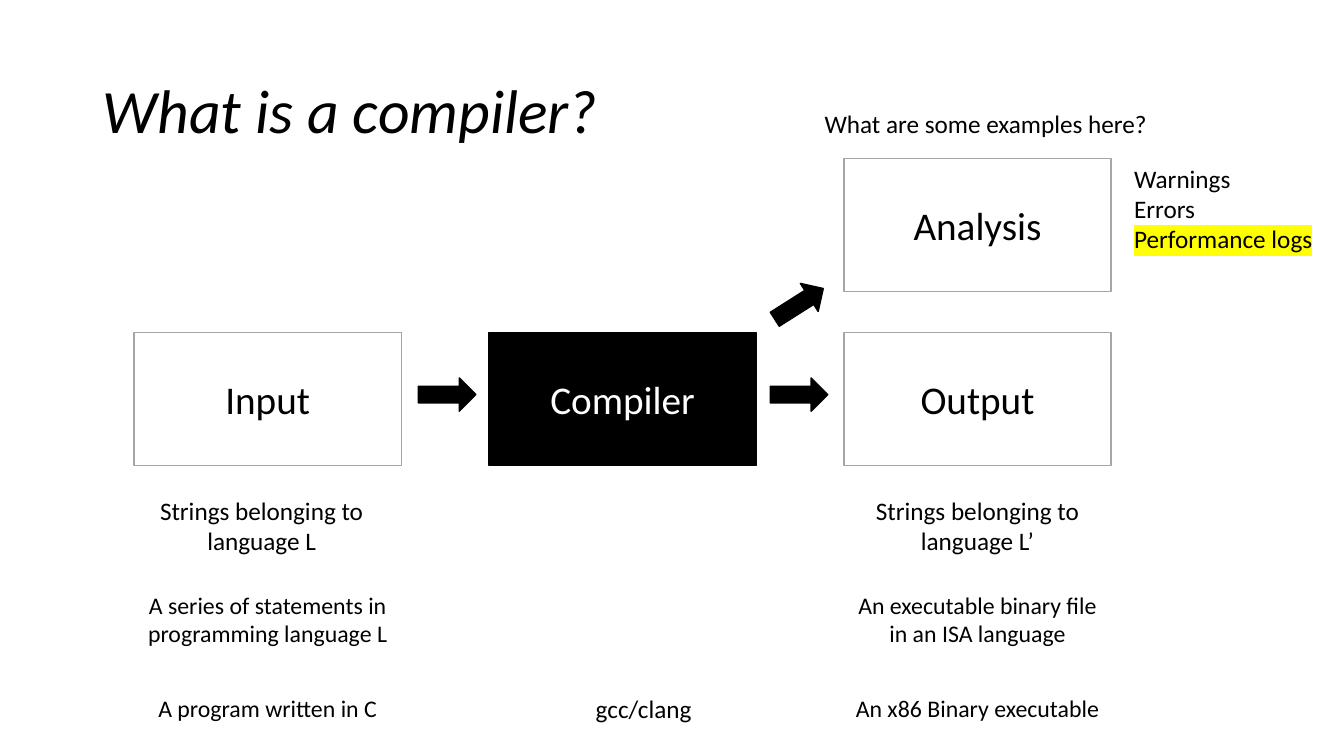
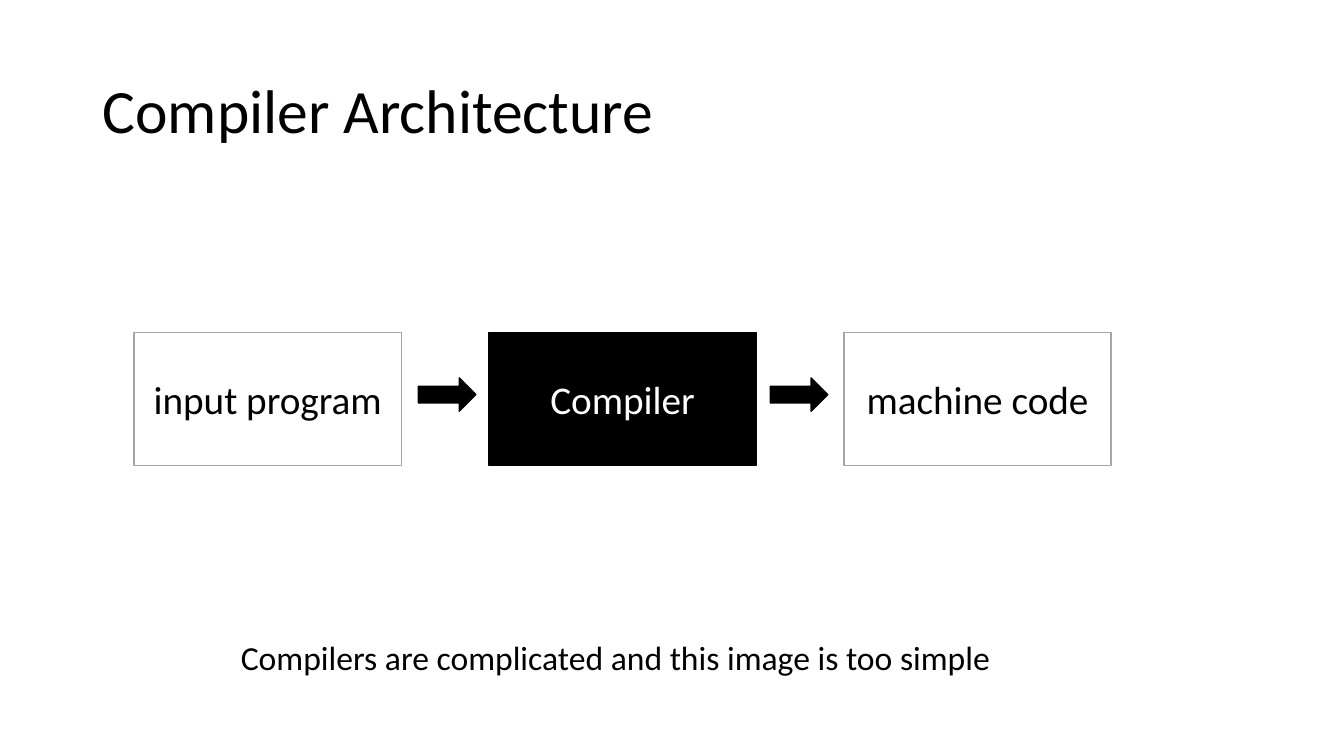
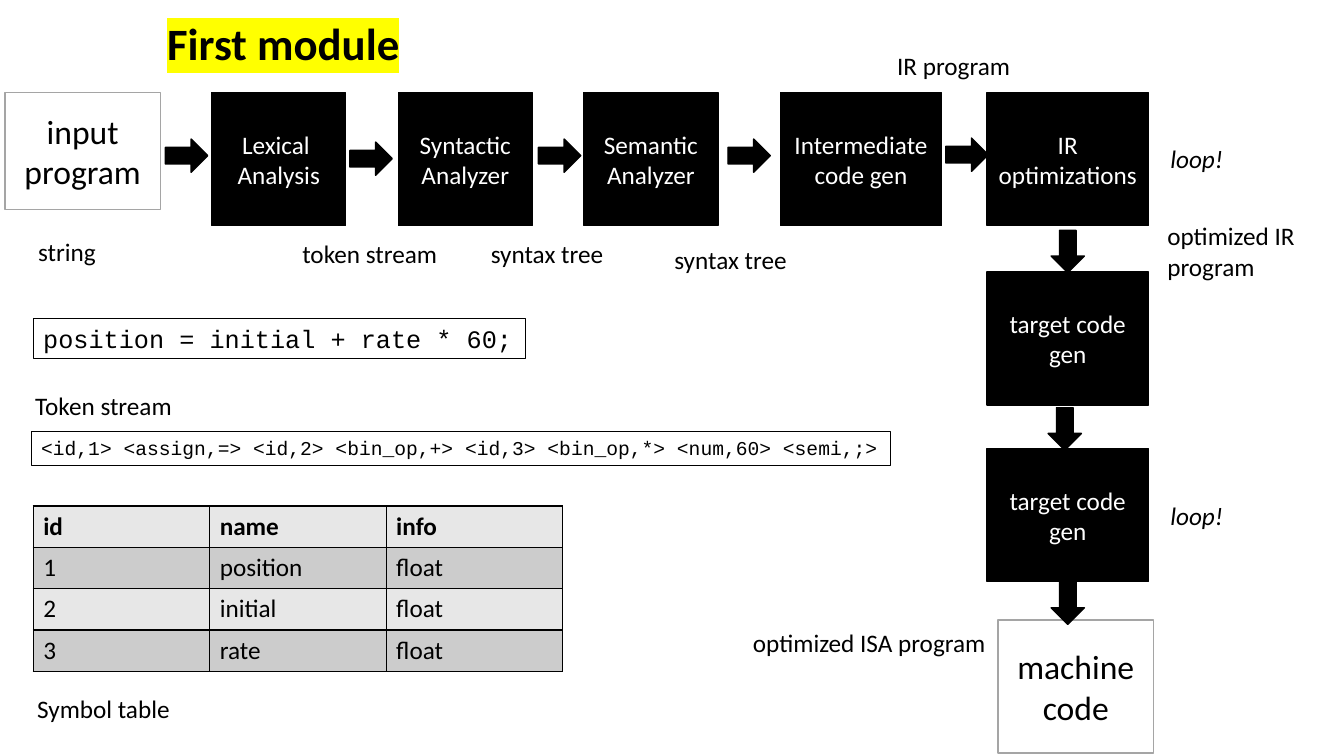
import dataclasses

import lxml.etree
import pptx
import pptx.dml.color
import pptx.enum.shapes
import pptx.enum.text
import pptx.oxml.ns
import pptx.util

RECTANGLE = pptx.enum.shapes.MSO_SHAPE.RECTANGLE
ARROW = pptx.enum.shapes.MSO_SHAPE.RIGHT_ARROW
MIDDLE = pptx.enum.text.MSO_ANCHOR.MIDDLE
LEFT = pptx.enum.text.PP_ALIGN.LEFT
CENTER = pptx.enum.text.PP_ALIGN.CENTER
GROW = pptx.enum.text.MSO_AUTO_SIZE.SHAPE_TO_FIT_TEXT
qn = pptx.oxml.ns.qn


@dataclasses.dataclass(frozen=True)
class Theme:
    """Colours, fonts and type sizes of the deck."""

    ink: str = "000000"
    paper: str = "FFFFFF"
    frame: str = "A5A5A5"
    marker: str = "FFFF00"
    light_row: str = "E7E7E7"
    dark_row: str = "CCCCCC"
    font: str = "Calibri"
    code_font: str = "Courier New"
    title: int = 44
    heading: int = 32
    box: int = 28
    large: int = 24
    body: int = 18
    detail: int = 17
    small_code: int = 14


@dataclasses.dataclass(frozen=True)
class Box:
    """A rectangle in inches."""

    left: float
    top: float
    width: float
    height: float

    def inset(self, right, down, width, height):
        """Return a box offset from this one's corner."""
        return Box(self.left + right, self.top + down, width, height)

    def lengths(self):
        """Return left, top, width and height as lengths."""
        return [pptx.util.Inches(side) for side in dataclasses.astuple(self)]


THEME = Theme()


def rgb(colour):
    """Turn a hex string into a colour."""
    return pptx.dml.color.RGBColor.from_string(colour)


def style(frame, size, colour=THEME.ink, font=THEME.font, bold=False, italic=False, align=LEFT):
    """Format every run of a text frame."""
    for paragraph in frame.paragraphs:
        paragraph.alignment = align
        for run in paragraph.runs:
            run.font.size = pptx.util.Pt(size)
            run.font.name = font
            run.font.bold = bold
            run.font.italic = italic
            run.font.color.rgb = rgb(colour)


def highlight(run):
    """Mark a run with the highlighter colour."""
    ink = run._r.get_or_add_rPr().find(qn("a:solidFill"))
    mark = lxml.etree.Element(qn("a:highlight"))
    lxml.etree.SubElement(mark, qn("a:srgbClr"), val=THEME.marker)
    ink.addnext(mark)


def outline(shape, colour, width):
    """Give a shape a solid outline."""
    shape.line.color.rgb = rgb(colour)
    shape.line.width = pptx.util.Pt(width)


def solid(slide, kind, box, fill, edge):
    """Draw a filled preset shape without shadow."""
    shape = slide.shapes.add_shape(kind, *box.lengths())
    shape.shadow.inherit = False
    shape.fill.solid()
    shape.fill.fore_color.rgb = rgb(fill)
    outline(shape, edge, 1)
    return shape


def stage(slide, box, label, size, dark=False):
    """Draw a labelled stage, black for compiler steps and white for data."""
    fill, edge, ink = (
        (THEME.ink, THEME.ink, THEME.paper) if dark else (THEME.paper, THEME.frame, THEME.ink)
    )
    frame = solid(slide, RECTANGLE, box, fill, edge).text_frame
    frame.word_wrap = True
    frame.vertical_anchor = MIDDLE
    frame.text = label
    style(frame, size, ink, align=CENTER)


def arrow(slide, box, rotation=0):
    """Draw a black block arrow."""
    solid(slide, ARROW, box, THEME.ink, THEME.ink).rotation = rotation


def note(slide, box, text, size=THEME.body, wrap=False, **look):
    """Write a text box that grows with its text."""
    caption = slide.shapes.add_textbox(*box.lengths())
    frame = caption.text_frame
    frame.text = text
    frame.word_wrap = wrap
    frame.auto_size = GROW
    style(frame, size, **look)
    return caption


def title(slide, box, text, italic=False):
    """Write the slide title."""
    frame = slide.shapes.add_textbox(*box.lengths()).text_frame
    frame.word_wrap = True
    frame.vertical_anchor = MIDDLE
    frame.text = text
    frame.paragraphs[0].line_spacing = 0.9
    style(frame, THEME.title, italic=italic)


def flow(slide, box, source, target):
    """Draw source, compiler and target in a row joined by arrows."""
    for column, label in enumerate((source, "Compiler", target)):
        place = box.inset(column * 3.52, 0, 2.65, box.height)
        stage(slide, place, label, THEME.box, dark=column == 1)
    for right in (2.82, 6.31):
        arrow(slide, box.inset(right, 0.45, 0.57, 0.33))


def analysis(slide, box):
    """Draw the analysis branch with its question and examples."""
    stage(slide, box, "Analysis", THEME.box)
    arrow(slide, box.inset(-0.73, 1.28, 0.57, 0.33), 327.6)
    note(slide, box.inset(-0.29, -0.54, 3.44, 0.4), "What are some examples here?")
    examples = note(
        slide, box.inset(2.78, 0, 1.99, 1.01), "Warnings\nErrors\vPerformance logs"
    )
    highlight(examples.text_frame.paragraphs[1].runs[1])


def explanations(slide, box, strings, statement, example, shift=0):
    """Stack three readings of one end of the flow, from abstract to concrete."""
    readings = (
        (shift, 0, 0.71, strings, THEME.body),
        (0, 0.95, 0.67, statement, THEME.detail),
        (0, 1.97, 0.39, example, THEME.detail),
    )
    for right, down, height, text, size in readings:
        place = box.inset(right, down, box.width, height)
        note(slide, place, text, size, wrap=True, align=CENTER)


def pipeline(slide, box):
    """Draw the compiler phases across the top and down the right side."""
    stage(slide, box.inset(0, 0, 1.54, 1.16), "input program", THEME.large)
    stage(slide, box.inset(9.85, 5.23, 1.54, 1.32), "machine code", THEME.large)
    phases = (
        (2.05, 0, 1.33, "Lexical \vAnalysis"),
        (3.9, 0, 1.33, "Syntactic Analyzer"),
        (5.74, 0, 1.33, "Semantic Analyzer"),
        (7.69, 0, 1.6, "Intermediate code gen"),
        (9.74, 0, 1.6, "IR optimizations"),
        (9.74, 1.78, 1.6, "target code gen"),
        (9.74, 3.53, 1.6, "target code gen"),
    )
    for right, down, width, label in phases:
        stage(slide, box.inset(right, down, width, 1.32), label, THEME.body, dark=True)
    steps = (
        (1.59, 0.46, 0),
        (3.42, 0.49, 0),
        (5.29, 0.46, 0),
        (7.17, 0.46, 0),
        (9.33, 0.45, 0),
        (10.33, 1.41, 90),
        (10.3, 3.17, 90),
        (10.33, 4.9, 90),
    )
    for right, down, rotation in steps:
        arrow(slide, box.inset(right, down, 0.42, 0.33), rotation)


def pipeline_notes(slide, box):
    """Label what passes between the phases."""
    products = (
        (0.23, 1.38, 0.78, "string"),
        (2.85, 1.4, 1.55, "token stream"),
        (4.72, 1.4, 1.33, "syntax tree"),
        (6.54, 1.45, 1.33, "syntax tree"),
        (8.75, -0.47, 1.33, "IR program"),
        (11.43, 1.22, 1.54, "optimized IR \vprogram"),
        (7.32, 5.25, 2.53, "optimized ISA program"),
    )
    for right, down, width, text in products:
        note(slide, box.inset(right, down, width, 0.71 if "\v" in text else 0.4), text)
    for down in (0.45, 3.99):
        note(slide, box.inset(11.46, down, 0.74, 0.4), "loop!", italic=True)


def code_example(slide, box):
    """Show a statement and its token stream."""
    statement = note(
        slide, box.inset(0.02, 0, 4.88, 0.4), "position = initial + rate * 60;",
        font=THEME.code_font,
    )
    tokens = note(
        slide, box.inset(0, 1.12, box.width, 0.34),
        "<id,1> <assign,=> <id,2> <bin_op,+> <id,3> <bin_op,*> <num,60> <semi,;>",
        THEME.small_code, wrap=True, font=THEME.code_font,
    )
    for listing in (statement, tokens):
        outline(listing, THEME.ink, 0.75)
    note(slide, box.inset(-0.06, 0.66, 1.57, 0.4), "Token stream")


def border(cell):
    """Draw a thin black line on all sides of a cell."""
    properties = cell._tc.get_or_add_tcPr()
    for position, side in enumerate(("a:lnL", "a:lnR", "a:lnT", "a:lnB")):
        edge = lxml.etree.Element(qn(side), w=str(pptx.util.Pt(1)))
        fill = lxml.etree.SubElement(edge, qn("a:solidFill"))
        lxml.etree.SubElement(fill, qn("a:srgbClr"), val=THEME.ink)
        properties.insert(position, edge)


def symbol_table(slide, box):
    """Fill in the symbol table and its caption."""
    symbols = (
        ("id", "name", "info"),
        ("1", "position", "float"),
        ("2", "initial", "float"),
        ("3", "rate", "float"),
    )
    table = slide.shapes.add_table(len(symbols), len(symbols[0]), *box.lengths()).table
    table.horz_banding = False
    for row, entries in enumerate(symbols):
        for column, entry in enumerate(entries):
            cell = table.cell(row, column)
            cell.text = entry
            cell.fill.solid()
            cell.fill.fore_color.rgb = rgb(THEME.dark_row if row % 2 else THEME.light_row)
            style(cell.text_frame, THEME.body, bold=row == 0)
            border(cell)
    note(slide, box.inset(-0.06, 1.81, 1.53, 0.4), "Symbol table")


def definition_slide(slide, title_box, flow_box):
    """Build the slide that defines a compiler."""
    title(slide, title_box, "What is a compiler?", italic=True)
    flow(slide, flow_box, "Input", "Output")
    analysis(slide, flow_box.inset(7.04, -1.73, 2.65, 1.32))
    explanations(
        slide, flow_box.inset(7.04, 1.56, 2.65, 2.36),
        "Strings belonging to\vlanguage L’",
        "An executable binary file\vin an ISA language",
        "An x86 Binary executable",
    )
    explanations(
        slide, flow_box.inset(0, 1.56, 2.65, 2.36),
        "Strings belonging to\vlanguage L",
        "A series of statements in\nprogramming language L",
        "A program written in C",
        shift=-0.06,
    )
    note(slide, flow_box.inset(4.48, 3.53, 1.17, 0.4), "gcc/clang")


def architecture_slide(slide, title_box, flow_box):
    """Build the slide with the simple architecture."""
    title(slide, title_box, "Compiler Architecture")
    flow(slide, flow_box, "input program", "machine code")
    note(
        slide, flow_box.inset(0.96, 2.97, 7.77, 0.5),
        "Compilers are complicated and this image is too simple", THEME.large,
    )


def phases_slide(slide, box):
    """Build the slide with all phases and a worked example."""
    pipeline(slide, box)
    pipeline_notes(slide, box)
    code_example(slide, box.inset(0.26, 2.24, 8.52, 1.46))
    symbol_table(slide, box.inset(0.28, 4.1, 5.25, 1.64))
    module = note(
        slide, box.inset(1.51, -0.81, 2.53, 0.64), "First module", THEME.heading, bold=True
    )
    highlight(module.text_frame.paragraphs[0].runs[0])


def main():
    """Build and save the deck."""
    deck = pptx.Presentation()
    deck.slide_width = pptx.util.Inches(13.33)
    deck.slide_height = pptx.util.Inches(7.5)
    blank = deck.slide_layouts[6]
    title_box = Box(0.92, 0.4, 11.5, 1.45)
    flow_box = Box(1.33, 3.3, 9.69, 1.32)
    definition_slide(deck.slides.add_slide(blank), title_box, flow_box)
    architecture_slide(deck.slides.add_slide(blank), title_box, flow_box)
    phases_slide(deck.slides.add_slide(blank), Box(0.05, 0.92, 13, 6.55))
    deck.save("out.pptx")


if __name__ == "__main__":
    main()
